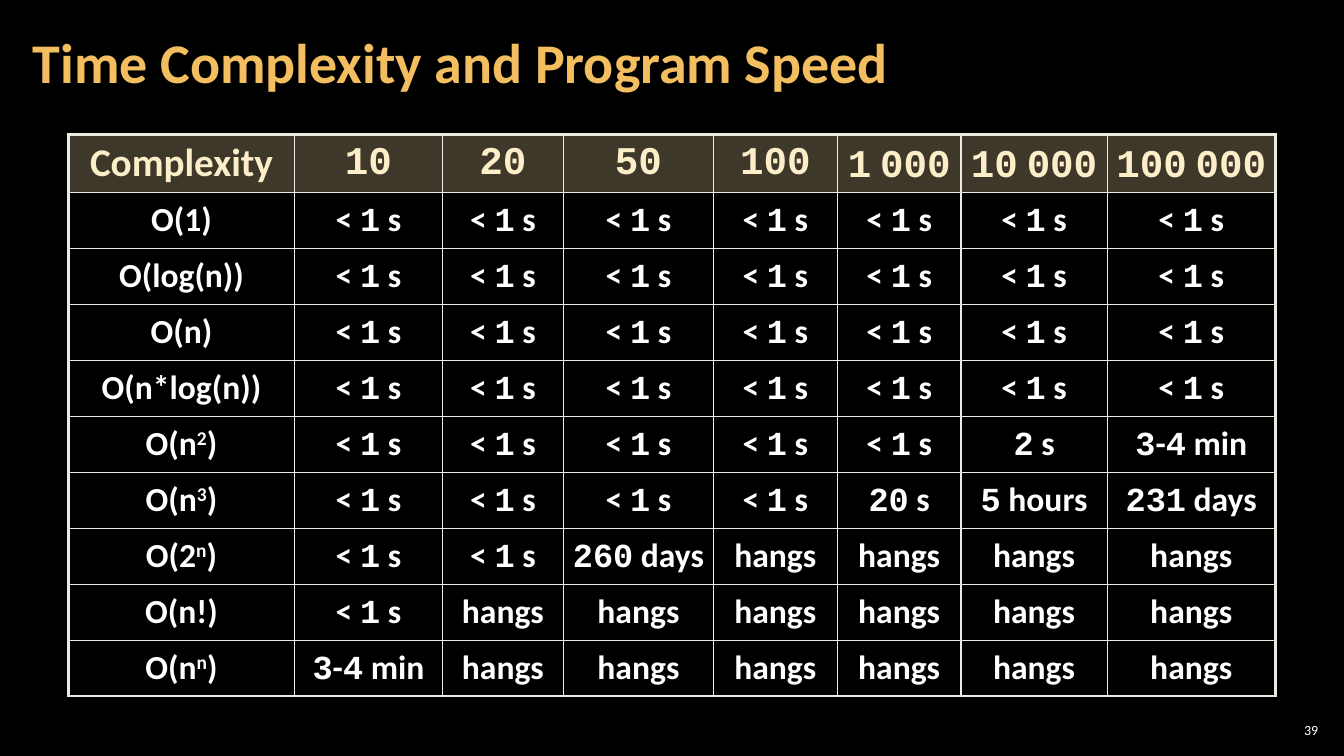
from lxml.etree import SubElement
from pptx import Presentation
from pptx.dml.color import RGBColor
from pptx.enum.text import MSO_ANCHOR, PP_ALIGN
from pptx.oxml.ns import qn
from pptx.util import Cm, Pt

COLORS = {
    "background": "000000",
    "title": "F3BE60",
    "header": "FBEEC9",
    "header_fill": "7C7154",
    "body": "FFFFFF",
    "border": "ECEAE3",
}
BODY_FONT, NUMBER_FONT = "Calibri", "Courier New"

HEADER = ["Complexity", "`10`", "`20`", "`50`", "`100`",
          "`1` `000`", "`10` `000`", "`100` `000`"]
FAST, HANGS, MINUTES = "< `1` s", "hangs", "`3`-`4` min"
RUN_TIMES = {
    "O(1)": [FAST] * 7,
    "O(log(n))": [FAST] * 7,
    "O(n)": [FAST] * 7,
    "O(n*log(n))": [FAST] * 7,
    "O(n^2^)": [FAST] * 5 + ["`2` s", MINUTES],
    "O(n^3^)": [FAST] * 4 + ["`20` s", "`5` hours", "`231` days"],
    "O(2^n^)": [FAST] * 2 + ["`260` days"] + [HANGS] * 4,
    "O(n!)": [FAST] + [HANGS] * 6,
    "O(n^n^)": [MINUTES] + [HANGS] * 6,
}
COLUMN_WIDTHS = [5.69, 3.73, 3.05, 3.78, 3.12, 3.12, 3.68, 4.24]
HEADER_HEIGHT, ROW_HEIGHT = 1.47, 1.41


def write(frame, text, size, color, bold=False, align=PP_ALIGN.LEFT, spacing=None):
    """Fill a frame; `...` marks the number font and ^...^ a superscript."""
    paragraph = frame.paragraphs[0]
    paragraph.alignment = align
    if spacing:
        paragraph.line_spacing = spacing
    for i, part in enumerate(text.split("`")):
        for j, piece in enumerate(part.split("^")):
            if not piece:
                continue
            run = paragraph.add_run()
            run.text = piece
            run.font.name = NUMBER_FONT if i % 2 else BODY_FONT
            run.font.size = Pt(size)
            run.font.bold = bold
            run.font.color.rgb = RGBColor.from_string(COLORS[color])
            if j % 2:
                run._r.get_or_add_rPr().set("baseline", "30000")


def set_margins(frame, across, down):
    frame.margin_left = frame.margin_right = Cm(across)
    frame.margin_top = frame.margin_bottom = Cm(down)


def add_borders(cell, widths):
    """Draw the cell's borders; widths are points for left, right, top, bottom."""
    properties = cell._tc.get_or_add_tcPr()
    for side, width in zip("LRTB", widths):
        line = SubElement(properties, qn(f"a:ln{side}"), w=str(Pt(width)))
        fill = SubElement(line, qn("a:solidFill"))
        SubElement(fill, qn("a:srgbClr"), val=COLORS["border"])


def shade_header(cell):
    cell.fill.solid()
    cell.fill.fore_color.rgb = RGBColor.from_string(COLORS["header_fill"])
    shade = cell._tc.tcPr.find(qn("a:solidFill")).find(qn("a:srgbClr"))
    SubElement(shade, qn("a:alpha"), val="50000")


class SlideBuilder:
    def __init__(self, presentation):
        self.slide = presentation.slides.add_slide(presentation.slide_layouts[5])
        background = self.slide.background.fill
        background.solid()
        background.fore_color.rgb = RGBColor.from_string(COLORS["background"])

    def title(self, text, left, top, width, height):
        heading = self.slide.shapes.title
        heading.left, heading.top = Cm(left), Cm(top)
        heading.width, heading.height = Cm(width), Cm(height)
        frame = heading.text_frame
        frame.vertical_anchor = MSO_ANCHOR.MIDDLE
        set_margins(frame, 0.3, 0.1)
        write(frame, text, 40, "title", bold=True, spacing=0.9)

    def page_number(self, text, left, top, width, height):
        box = self.slide.shapes.add_textbox(Cm(left), Cm(top), Cm(width), Cm(height))
        frame = box.text_frame
        frame.word_wrap = True
        frame.vertical_anchor = MSO_ANCHOR.MIDDLE
        set_margins(frame, 0.1, 0.1)
        write(frame, text, 10, "body", align=PP_ALIGN.RIGHT)

    def table(self, rows, left, top):
        last_row, last_column = len(rows) - 1, len(COLUMN_WIDTHS) - 1
        height = HEADER_HEIGHT + last_row * ROW_HEIGHT
        table = self.slide.shapes.add_table(
            len(rows), len(COLUMN_WIDTHS), Cm(left), Cm(top),
            Cm(sum(COLUMN_WIDTHS)), Cm(height)).table
        table.horz_banding = False
        for column, width in zip(table.columns, COLUMN_WIDTHS):
            column.width = Cm(width)
        for r, texts in enumerate(rows):
            table.rows[r].height = Cm(ROW_HEIGHT if r else HEADER_HEIGHT)
            for c, text in enumerate(texts):
                cell = table.cell(r, c)
                cell.vertical_anchor = MSO_ANCHOR.MIDDLE
                set_margins(cell, 0.18, 0)
                outer = (c == 0, c == last_column, r == 0, r == last_row)
                add_borders(cell, [2.25 if edge else 1 for edge in outer])
                if r == 0:
                    shade_header(cell)
                    write(cell.text_frame, text, 28, "header", bold=True,
                          align=PP_ALIGN.CENTER, spacing=0.95)
                else:
                    cell.fill.background()
                    write(cell.text_frame, text, 24, "body", bold=True,
                          align=PP_ALIGN.CENTER)


def main():
    presentation = Presentation()
    presentation.slide_width, presentation.slide_height = Cm(33.87), Cm(19.05)
    builder = SlideBuilder(presentation)
    builder.page_number("39", 32.13, 18.14, 1.19, 0.53)
    builder.title("Time Complexity and Program Speed", 0.53, 0.1, 26.59, 3.07)
    rows = [[name] + times for name, times in RUN_TIMES.items()]
    builder.table([HEADER] + rows, 1.73, 3.38)
    presentation.save("out.pptx")


if __name__ == "__main__":
    main()
